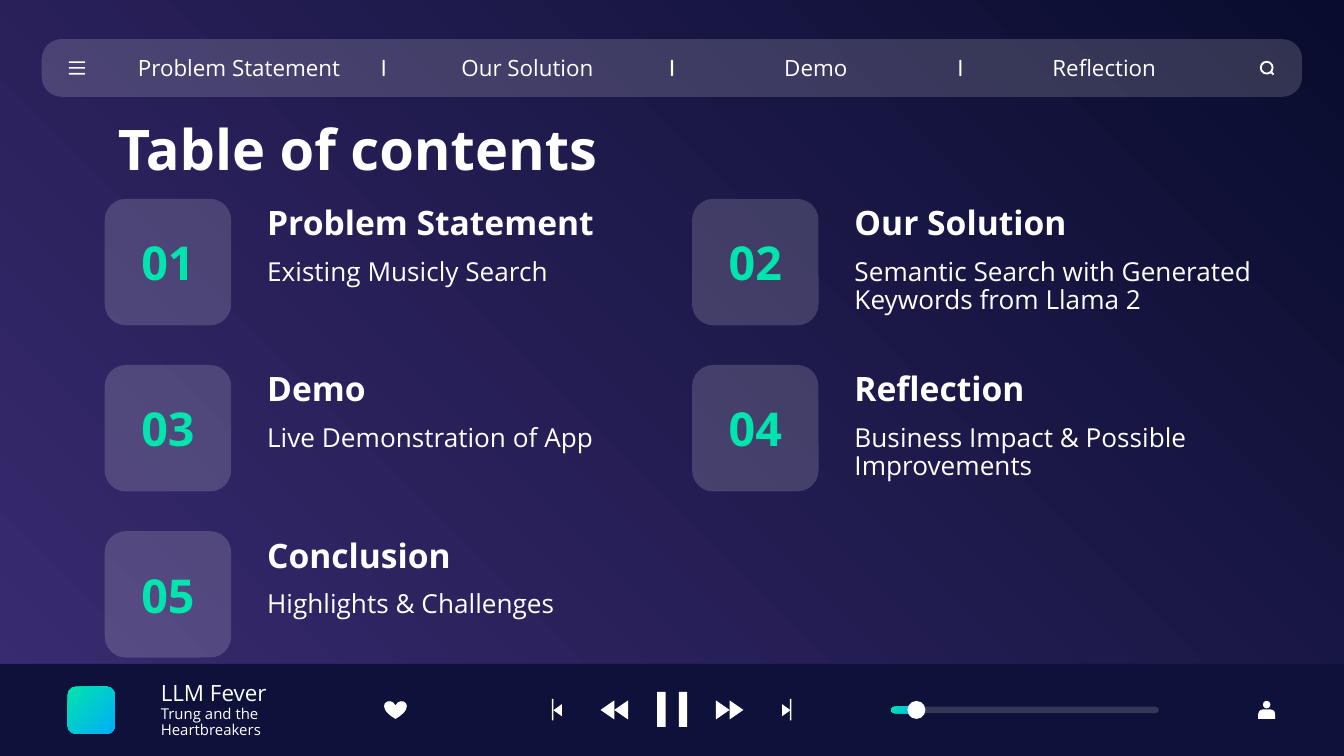
from dataclasses import dataclass

from lxml import etree
from pptx import Presentation
from pptx.dml.color import RGBColor
from pptx.enum.shapes import MSO_CONNECTOR, MSO_SHAPE
from pptx.enum.text import MSO_ANCHOR, PP_ALIGN
from pptx.oxml.ns import qn
from pptx.util import Cm, Pt

RECT = MSO_SHAPE.RECTANGLE
ROUND = MSO_SHAPE.ROUNDED_RECTANGLE
OVAL = MSO_SHAPE.OVAL
HEART = MSO_SHAPE.HEART
DONUT = MSO_SHAPE.DONUT
SHOULDERS = MSO_SHAPE.ROUND_2_SAME_RECTANGLE
STRAIGHT = MSO_CONNECTOR.STRAIGHT
LEFT, CENTER = PP_ALIGN.LEFT, PP_ALIGN.CENTER
TOP, MIDDLE = MSO_ANCHOR.TOP, MSO_ANCHOR.MIDDLE


@dataclass(frozen=True)
class Theme:
    font: str = "Open Sans"
    white: str = "FFFFFF"
    mint: str = "00E4AE"
    sky: str = "00AEF8"
    violet: str = "3B2C72"
    night: str = "090C2E"
    player: str = "0E1139"
    glass: int = 16
    title: int = 30
    number: int = 25
    heading: int = 18
    body: int = 14
    menu: int = 12
    artist: int = 8


THEME = Theme()
PAGE_WIDTH, PAGE_HEIGHT = 25.4, 14.29
TILE = 2.39
MENU_STEP = 5.45
TOPICS = [
    ("Problem Statement", "Existing Musicly Search", 7.52),
    ("Our Solution", "Semantic Search with Generated Keywords from Llama 2", 8.33),
    ("Demo", "Live Demonstration of App", 7.52),
    ("Reflection", "Business Impact & Possible Improvements", 7.52),
    ("Conclusion", "Highlights & Challenges", 7.52),
]


def paint_gradient(fill, start, end, angle):
    fill.gradient()
    fill.gradient_angle = angle
    for stop, color in zip(fill.gradient_stops, (start, end)):
        stop.color.rgb = RGBColor.from_string(color)


def paint_solid(shape, color):
    shape.shadow.inherit = False
    shape.fill.solid()
    shape.fill.fore_color.rgb = RGBColor.from_string(color)
    shape.line.fill.background()


def add_block(page, kind, left, top, width, height, color=THEME.white, adjust=None):
    shape = page.shapes.add_shape(kind, Cm(left), Cm(top), Cm(width), Cm(height))
    paint_solid(shape, color)
    if adjust is not None:
        shape.adjustments[0] = adjust
    return shape


def add_glass(page, left, top, width, height, adjust):
    shape = add_block(page, ROUND, left, top, width, height, adjust=adjust)
    color = shape.element.spPr.find(qn("a:solidFill"))[0]
    etree.SubElement(color, qn("a:alpha")).set("val", str(THEME.glass * 1000))


def add_glow(page, left, top, width, height, adjust):
    shape = add_block(page, ROUND, left, top, width, height, adjust=adjust)
    paint_gradient(shape.fill, THEME.mint, THEME.sky, 315)


def add_triangle(page, base, tip, top, height):
    builder = page.shapes.build_freeform(Cm(base), Cm(top))
    builder.add_line_segments(
        [(Cm(base), Cm(top + height)), (Cm(tip), Cm(top + height / 2))], close=True
    )
    paint_solid(builder.convert_to_shape(), THEME.white)


def add_text(page, left, top, width, height, lines, color=THEME.white, bold=False,
             align=LEFT, anchor=MIDDLE, spacing=1.0):
    box = page.shapes.add_textbox(Cm(left), Cm(top), Cm(width), Cm(height))
    frame = box.text_frame
    frame.word_wrap = True
    frame.vertical_anchor = anchor
    frame.margin_left = frame.margin_right = Cm(0.25)
    frame.margin_top = frame.margin_bottom = Cm(0.25)
    for index, (words, size) in enumerate(lines):
        para = frame.add_paragraph() if index else frame.paragraphs[0]
        para.alignment = align
        para.line_spacing = spacing
        span = para.add_run()
        span.text = words
        span.font.name = THEME.font
        span.font.size = Pt(size)
        span.font.bold = bold
        span.font.color.rgb = RGBColor.from_string(color)


def add_search_icon(page):
    add_block(page, DONUT, 23.81, 1.15, 0.26, 0.26, adjust=0.14)
    handle = page.shapes.add_connector(STRAIGHT, Cm(24.02), Cm(1.36), Cm(24.07), Cm(1.41))
    handle.line.color.rgb = RGBColor.from_string(THEME.white)
    handle.line.width = Pt(1)
    etree.SubElement(handle.element.spPr, qn("a:effectLst"))


def add_menu(page):
    add_glass(page, 0.79, 0.74, 23.82, 1.09, 0.344)
    for index in range(3):
        add_block(page, ROUND, 1.3, 1.16 + index * 0.11, 0.31, 0.03, adjust=0.5)
        add_block(page, ROUND, 7.23 + index * MENU_STEP, 1.13, 0.04, 0.31, adjust=0.5)
    add_search_icon(page)
    for index, (heading, _, _) in enumerate(TOPICS[:4]):
        add_text(page, 1.98 + index * MENU_STEP, 0.84, 5.08, 0.89,
                 [(heading, THEME.menu)], align=CENTER)


def add_topic(page, index, heading, detail, detail_width):
    row, column = divmod(index, 2)
    left, top = 1.98 + column * 11.1, 3.76 + row * 3.14
    add_glass(page, left, top, TILE, TILE, 0.167)
    add_text(page, left, top, TILE, TILE, [(f"{index + 1:02}", THEME.number)],
             color=THEME.mint, bold=True, align=CENTER)
    add_text(page, left + 2.82, top, 7.52, 0.89, [(heading, THEME.heading)], bold=True)
    add_text(page, left + 2.82, top + 0.88, detail_width, 1.5, [(detail, THEME.body)],
             anchor=TOP, spacing=0.9)


def add_controls(page):
    middle = PAGE_WIDTH / 2
    for left in (12.42, 12.83):
        add_block(page, RECT, left, 13.08, 0.16, 0.66)
    for side in (-1, 1):
        for offset in (0.83, 1.09):
            add_triangle(page, middle + side * offset, middle + side * (offset + 0.26),
                         13.24, 0.36)
        add_triangle(page, middle + side * 2.08, middle + side * 2.24, 13.31, 0.23)
        add_block(page, RECT, middle + side * 2.25 - 0.02, 13.21, 0.03, 0.41)


def add_player(page):
    add_block(page, RECT, 0, 12.55, PAGE_WIDTH, PAGE_HEIGHT - 12.55, THEME.player)
    add_glow(page, 1.28, 12.98, 0.89, 0.89, 0.167)
    add_text(page, 2.79, 12.98, 3.84, 0.89,
             [("LLM Fever", THEME.menu), ("Trung and the Heartbreakers", THEME.artist)],
             spacing=0.9)
    add_block(page, HEART, 7.26, 13.25, 0.43, 0.34)
    add_controls(page)
    add_glass(page, 16.84, 13.36, 5.06, 0.12, 0.5)
    add_glow(page, 16.84, 13.36, 0.51, 0.12, 0.5)
    add_block(page, OVAL, 17.15, 13.25, 0.34, 0.34)
    add_block(page, OVAL, 23.87, 13.25, 0.14, 0.14)
    add_block(page, SHOULDERS, 23.78, 13.41, 0.32, 0.18, adjust=0.5)


def main():
    deck = Presentation()
    deck.slide_width, deck.slide_height = Cm(PAGE_WIDTH), Cm(PAGE_HEIGHT)
    page = deck.slides.add_slide(deck.slide_layouts[6])
    paint_gradient(page.background.fill, THEME.violet, THEME.night, 45)
    add_player(page)
    add_menu(page)
    add_text(page, 1.98, 2.29, 21.44, 1.04, [("Table of contents", THEME.title)], bold=True)
    for index, topic in enumerate(TOPICS):
        add_topic(page, index, *topic)
    deck.save("out.pptx")


if __name__ == "__main__":
    main()
